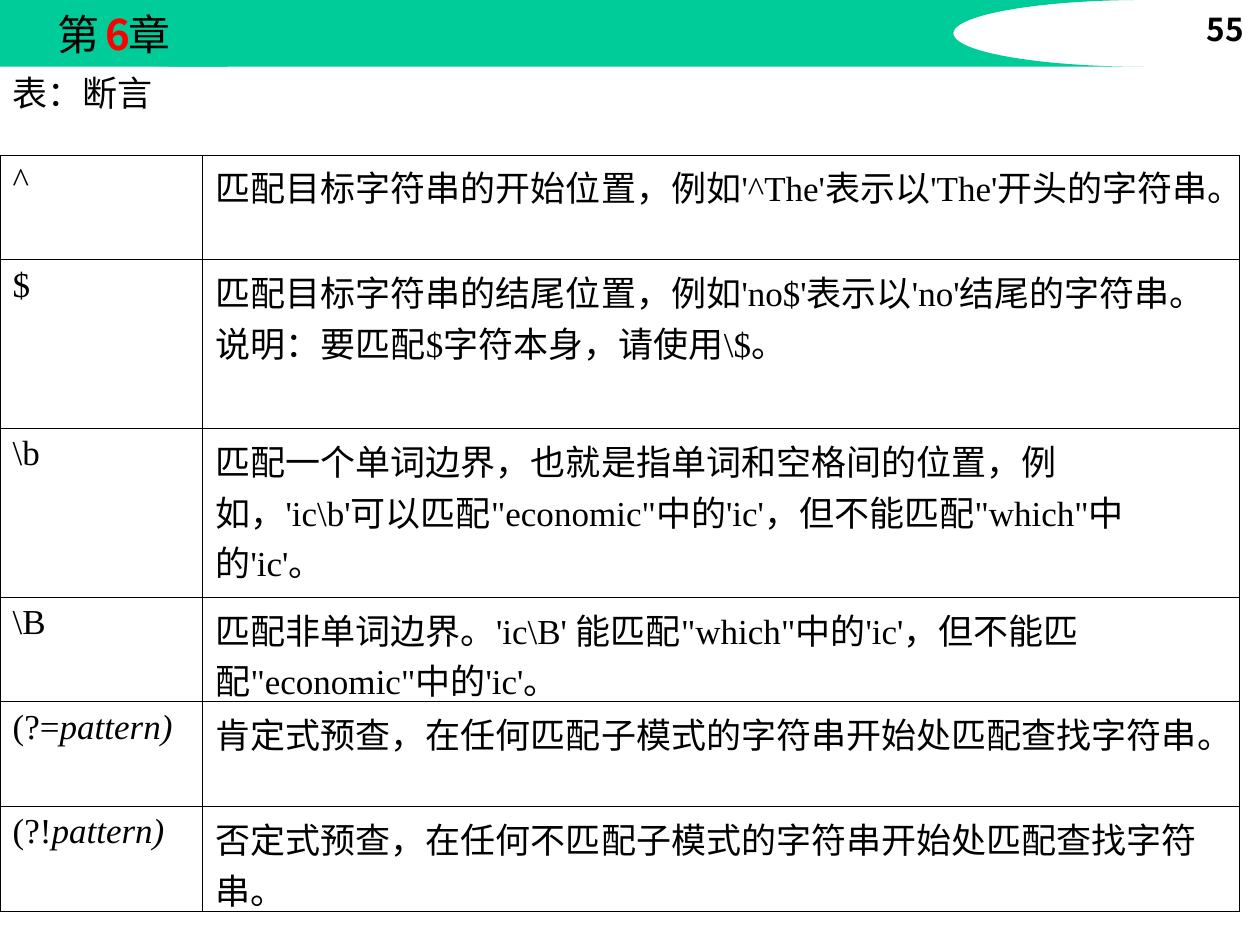
from lxml import etree
from pptx import Presentation
from pptx.dml.color import RGBColor
from pptx.enum.shapes import MSO_SHAPE
from pptx.enum.text import MSO_ANCHOR, MSO_AUTO_SIZE, PP_ALIGN
from pptx.oxml.ns import qn
from pptx.util import Inches, Pt

CENTER, RIGHT = PP_ALIGN.CENTER, PP_ALIGN.RIGHT
MIDDLE = MSO_ANCHOR.MIDDLE
NO_AUTOFIT = MSO_AUTO_SIZE.NONE
BAND, RECTANGLE = MSO_SHAPE.FLOWCHART_STORED_DATA, MSO_SHAPE.RECTANGLE
COLORS = {"green": "00CC99", "black": "000000", "red": "FF0000"}
SERIF, HEADER_FONT, NUMBER_FONT = "Times New Roman", "Noto Sans CJK JP", "Noto Sans CJK SC"
BORDER_WIDTH = Pt(0.45)


def add_run(paragraph, text, size, name=SERIF, east_asian=NUMBER_FONT, color="black", **format_values):
    run = paragraph.add_run()
    run.text = text
    values = {"size": Pt(size), "name": name, **format_values}
    for attribute, value in values.items():
        setattr(run.font, attribute, value)
    run.font.color.rgb = RGBColor.from_string(COLORS[color])
    properties = run.font._element
    etree.SubElement(properties, qn("a:ea")).set("typeface", east_asian)
    return run


def add_borders(cell):
    properties = cell._tc.get_or_add_tcPr()
    for side in ("lnL", "lnR", "lnT", "lnB"):
        line = etree.SubElement(properties, qn(f"a:{side}"), w=str(BORDER_WIDTH))
        fill = etree.SubElement(line, qn("a:solidFill"))
        etree.SubElement(fill, qn("a:srgbClr"), val=COLORS["black"])


presentation = Presentation()
presentation.slide_width, presentation.slide_height = Inches(10), Inches(7.5)
slide = presentation.slides.add_slide(presentation.slide_layouts[1])
title = slide.shapes.title
title._element.getparent().remove(title._element)

# Header band and chapter label
for kind, width in ((BAND, 9.08), (RECTANGLE, 1.81)):
    shape = slide.shapes.add_shape(kind, 0, 0, Inches(width), Inches(0.53))
    shape.shadow.inherit = False
    shape.fill.solid()
    shape.fill.fore_color.rgb = RGBColor.from_string(COLORS["green"])
    shape.line.fill.background()

chapter_frame = shape.text_frame
chapter_frame.word_wrap = False
chapter_frame.vertical_anchor = MIDDLE
paragraph = chapter_frame.paragraphs[0]
paragraph.alignment = CENTER
header_fonts = {"name": HEADER_FONT, "east_asian": HEADER_FONT}
add_run(paragraph, "第", 24, **header_fonts)
gap = add_run(paragraph, " ", 24, **header_fonts)
gap.font._element.set("spc", "1140")  # room for the chapter number
add_run(paragraph, "章", 24, **header_fonts)

# Page number
page_number = slide.shapes.add_textbox(Inches(9.14), Inches(0.03), Inches(0.83), Inches(0.5))
page_number.text_frame.word_wrap = True
paragraph = page_number.text_frame.paragraphs[0]
paragraph.alignment = RIGHT
add_run(paragraph, "55", 18, name=NUMBER_FONT, bold=True)

# Table caption
caption = slide.placeholders[1]
caption.left, caption.top = Inches(0), Inches(0.52)
caption.width, caption.height = Inches(4.83), Inches(0.63)
caption.text_frame.auto_size = NO_AUTOFIT
paragraph = caption.text_frame.paragraphs[0]
paragraph.space_before = Pt(0)
properties = paragraph._p.get_or_add_pPr()
properties.set("marL", str(Inches(0.75)))
properties.set("indent", str(-Inches(0.75)))
etree.SubElement(properties, qn("a:buNone"))
add_run(paragraph, "表：断言", 20)

# Chapter number
chapter_number = slide.shapes.add_textbox(Inches(0.84), Inches(0.07), Inches(0.24), Inches(0.4))
number_frame = chapter_number.text_frame
number_frame.word_wrap = True
for side in ("left", "right", "top", "bottom"):
    setattr(number_frame, f"margin_{side}", 0)
add_run(number_frame.paragraphs[0], "6", 24, color="red", bold=True, **header_fonts)

# Assertions: symbol, italic part of the symbol, meaning, row height
assertions = [
    ("^", "", "匹配目标字符串的开始位置，例如'^The'表示以'The'开头的字符串。", 0.83),
    ("$", "", "匹配目标字符串的结尾位置，例如'no$'表示以'no'结尾的字符串。"
     "说明：要匹配$字符本身，请使用\\$。", 1.34),
    ("\\b", "", "匹配一个单词边界，也就是指单词和空格间的位置，例如，'ic\\b'可以匹配\"economic\"中的'ic'，"
     "但不能匹配\"which\"中的'ic'。", 1.34),
    ("\\B", "", "匹配非单词边界。'ic\\B' 能匹配\"which\"中的'ic'，但不能匹配\"economic\"中的'ic'。", 0.83),
    ("(?=", "pattern)", "肯定式预查，在任何匹配子模式的字符串开始处匹配查找字符串。", 0.83),
    ("(?!", "pattern)", "否定式预查，在任何不匹配子模式的字符串开始处匹配查找字符串。", 0.83),
]
table = slide.shapes.add_table(
    len(assertions), 2, Inches(0), Inches(1.23), Inches(9.84), Inches(6)).table
table.first_row = table.horz_banding = False
for column, width in zip(table.columns, (1.61, 8.23)):
    column.width = Inches(width)
for row, (symbol, italic_part, meaning, height) in zip(table.rows, assertions):
    row.height = Inches(height)
    for cell, text in zip(row.cells, (symbol, meaning)):
        add_borders(cell)
        cell.fill.background()
        add_run(cell.text_frame.paragraphs[0], text, 20)
    if italic_part:
        add_run(row.cells[0].text_frame.paragraphs[0], italic_part, 20, italic=True)

presentation.save("out.pptx")
